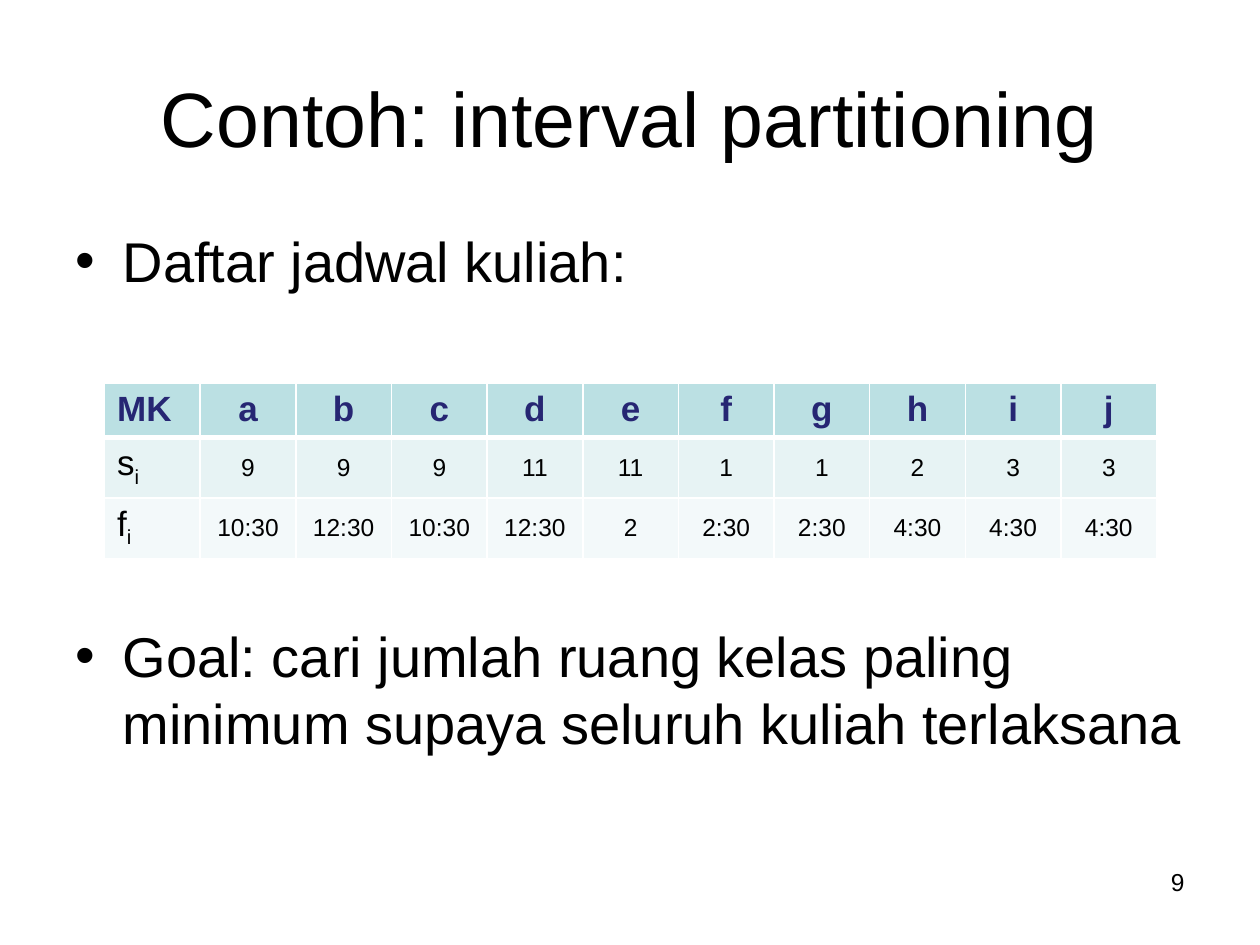
from lxml.etree import SubElement
from pptx import Presentation
from pptx.dml.color import RGBColor
from pptx.enum.text import MSO_ANCHOR, PP_ALIGN
from pptx.oxml.ns import qn
from pptx.util import Inches, Pt

BLACK = RGBColor(0x00, 0x00, 0x00)
NAVY = RGBColor(0x26, 0x26, 0x73)
WHITE = RGBColor(0xFF, 0xFF, 0xFF)
HEADER_FILL = RGBColor(0xBB, 0xE0, 0xE3)
START_FILL = RGBColor(0xE7, 0xF3, 0xF4)
FINISH_FILL = RGBColor(0xF3, 0xF9, 0xFA)

deck = Presentation()
deck.slide_width, deck.slide_height = Inches(10), Inches(7.5)
slide = deck.slides.add_slide(deck.slide_layouts[6])

# Grid: 100 columns by 75 rows
COL = deck.slide_width / 100
ROW = deck.slide_height / 75


def place(left, top, width, height):
    return int(left * COL), int(top * ROW), int(width * COL), int(height * ROW)


def add_run(paragraph, text, size, color=BLACK, bold=False):
    run = paragraph.add_run()
    run.text = text
    run.font.name = "Arial"
    run.font.size = Pt(size)
    run.font.bold = bold
    run.font.color.rgb = color
    return run


# Title
title = slide.shapes.add_textbox(*place(5, 3, 90, 12.5)).text_frame
title.word_wrap = True
title.vertical_anchor = MSO_ANCHOR.MIDDLE
title.paragraphs[0].alignment = PP_ALIGN.CENTER
add_run(title.paragraphs[0], "Contoh: interval partitioning", 44)

# Bullets, spaced apart to leave room for the timetable
body = slide.shapes.add_textbox(*place(5, 17.5, 90, 49.5)).text_frame
body.word_wrap = True
points = [
    ("Daftar jadwal kuliah:", 6.4),
    ("Goal: cari jumlah ruang kelas paling minimum supaya seluruh kuliah terlaksana", 187),
]
for index, (point, space_before) in enumerate(points):
    paragraph = body.add_paragraph() if index else body.paragraphs[0]
    paragraph.space_before = Pt(space_before)
    add_run(paragraph, point, 32)
    properties = paragraph._p.get_or_add_pPr()
    properties.set("marL", str(int(3.75 * COL)))
    properties.set("indent", str(-int(3.75 * COL)))
    SubElement(properties, qn("a:buFont"), typeface="Arial")
    SubElement(properties, qn("a:buChar"), char="•")

# Page number
page_number = slide.shapes.add_textbox(*place(71.7, 68.3, 23.3, 5.2)).text_frame
page_number.word_wrap = True
page_number.paragraphs[0].alignment = PP_ALIGN.RIGHT
add_run(page_number.paragraphs[0], "9", 14)

# Timetable: course, start and finish times
courses = ["MK", *"abcdefghij"]
starts = ["s", "9", "9", "9", "11", "11", "1", "1", "2", "3", "3"]
finishes = ["f", "10:30", "12:30", "10:30", "12:30", "2", "2:30", "2:30", "4:30", "4:30", "4:30"]
timetable = slide.shapes.add_table(3, len(courses), *place(8.3, 30.4, 83.5, 13)).table
timetable.horz_banding = False
for row, height in zip(timetable.rows, (4.1, 4.5, 4.5)):
    row.height = int(height * ROW)

rows = [(courses, HEADER_FILL), (starts, START_FILL), (finishes, FINISH_FILL)]
for r, (values, fill) in enumerate(rows):
    for c, value in enumerate(values):
        cell = timetable.cell(r, c)
        paragraph = cell.text_frame.paragraphs[0]
        if c:
            paragraph.alignment = PP_ALIGN.CENTER
        if r and c:
            cell.vertical_anchor = MSO_ANCHOR.MIDDLE

        if r == 0:
            add_run(paragraph, value, 20, NAVY, bold=True)
        elif c == 0:
            add_run(paragraph, value, 20)
            subscript = add_run(paragraph, "i", 20)
            subscript.font._element.set("baseline", "-25000")
        else:
            add_run(paragraph, value, 14)

        # White rules, heavier under the header
        cell_properties = cell._tc.get_or_add_tcPr()
        for side in "LRTB":
            heavy = (r, side) in ((0, "B"), (1, "T"))
            rule = SubElement(cell_properties, qn(f"a:ln{side}"), w=str(Pt(3 if heavy else 1)))
            rule_fill = SubElement(rule, qn("a:solidFill"))
            SubElement(rule_fill, qn("a:srgbClr"), val=str(WHITE))
        cell.fill.solid()
        cell.fill.fore_color.rgb = fill

deck.save("out.pptx")
